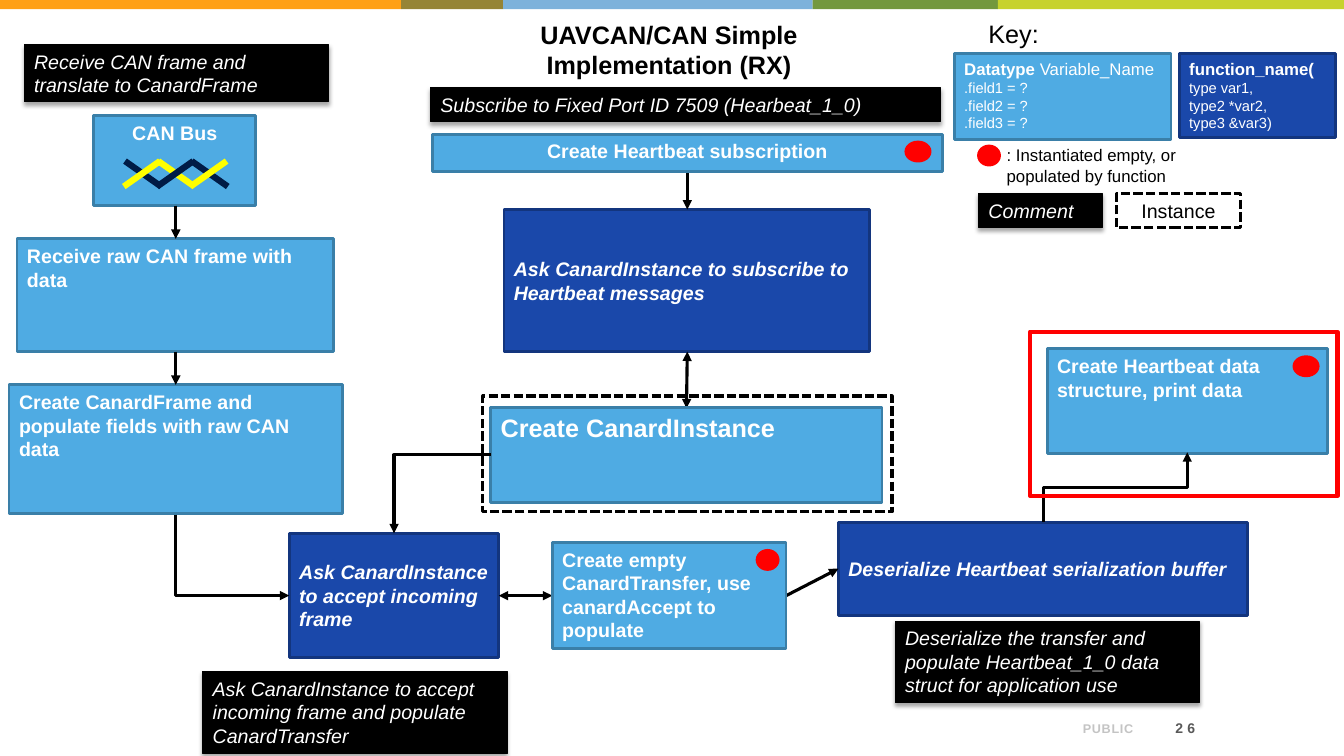
from math import cos, radians, sin

from lxml.etree import SubElement
from pptx import Presentation
from pptx.dml.color import RGBColor
from pptx.enum.dml import MSO_LINE as Dash
from pptx.enum.shapes import MSO_CONNECTOR as Link, MSO_SHAPE as Form
from pptx.enum.text import MSO_ANCHOR as Anchor, MSO_AUTO_SIZE as Fit, PP_ALIGN as Align
from pptx.oxml.ns import qn
from pptx.util import Cm, Pt

WHITE, BLACK, RED, NAVY, YELLOW = "FFFFFF", "000000", "FF0000", "001B46", "FFFF00"
LOOKS = {
    "data": {"fill": "4FABE3", "line": "3A7FA8", "width": 2, "bold": True},
    "call": {"fill": "1A48AA", "line": "13357E", "width": 2, "bold": True,
             "italic": True, "anchor": Anchor.MIDDLE},
    "note": {"fill": BLACK, "line": BLACK, "width": 0.75, "italic": True, "shade": True},
    "dash": {"line": BLACK, "width": 2.25, "dash": Dash.SQUARE_DOT, "ink": BLACK,
             "anchor": Anchor.MIDDLE, "align": Align.CENTER},
    "dot": {"fill": RED, "line": RED, "width": 2, "form": Form.OVAL},
    "frame": {"line": RED, "width": 3},
}


def tint(code):
    return RGBColor.from_string(code)


class Sheet:
    """Hold the style and the current slide, and draw each kind of element."""

    def __init__(self, deck, font):
        self.font = font
        self.slide = deck.slides.add_slide(deck.slide_layouts[5])
        self.shapes = self.slide.shapes

    def label(self, shape, paras, size=14, ink=WHITE, bold=False, italic=False,
              align=Align.LEFT, anchor=Anchor.TOP, gap=0, pad=(0.25, 0.13)):
        frame = shape.text_frame
        side, edge = map(Cm, pad)
        look = {"word_wrap": True, "auto_size": Fit.NONE, "vertical_anchor": anchor,
                "margin_left": side, "margin_right": side,
                "margin_top": edge, "margin_bottom": edge}
        for name, value in look.items():
            setattr(frame, name, value)
        for i, para in enumerate(paras):
            row = frame.add_paragraph() if i else frame.paragraphs[0]
            row.alignment = align
            for text, extra in [(para, {})] if isinstance(para, str) else para:
                run = row.add_run()
                run.text = text
                style = {"name": self.font, "size": Pt(size), "bold": bold, "italic": italic}
                for name, value in {**style, **extra}.items():
                    setattr(run.font, name, value)
                run.font.color.rgb = tint(ink)
                if gap:
                    run._r.get_or_add_rPr().set("spc", str(int(gap * 100)))

    def title(self, spot, text, **style):
        head = self.shapes.title
        head.left, head.top, head.width, head.height = map(Cm, spot)
        self.label(head, [text], **style)

    def text(self, spot, text, **style):
        self.label(self.shapes.add_textbox(*map(Cm, spot)), [text], **style)

    def box(self, spot, *paras, fill=None, line=None, width=1, dash=None,
            form=Form.RECTANGLE, shade=False, **style):
        shape = self.shapes.add_shape(form, *map(Cm, spot))
        shape.shadow.inherit = False
        if fill:
            shape.fill.solid()
            shape.fill.fore_color.rgb = tint(fill)
        else:
            shape.fill.background()
        if line:
            shape.line.color.rgb = tint(line)
            shape.line.width = Pt(width)
            if dash:
                shape.line.dash_style = dash
        else:
            shape.line.fill.background()
        if shade:
            glow = SubElement(shape._element.spPr.find(qn("a:effectLst")), qn("a:outerShdw"),
                              blurRad=str(Pt(3.1)), dist=str(Pt(1.8)), dir="5400000",
                              rotWithShape="0")
            ink = SubElement(glow, qn("a:srgbClr"), val=BLACK)
            SubElement(ink, qn("a:alpha"), val="35000")
        if paras:
            self.label(shape, paras, **style)

    def card(self, kind, spot, *paras, **extra):
        self.box(spot, *paras, **{**LOOKS[kind], **extra})

    def dot(self, left, top, width=0.61):
        self.card("dot", (left, top, width, 0.48))

    def link(self, start, end, tips=("tail",), ink=BLACK, width=2.25, turn=0, bend=None):
        midx, midy = (start[0] + end[0]) / 2, (start[1] + end[1]) / 2
        c, s = cos(radians(turn)), sin(radians(turn))
        spots = []
        for x, y in (start, end):
            dx, dy = x - midx, y - midy
            spots += [Cm(midx + dx * c + dy * s), Cm(midy + dy * c - dx * s)]
        line = self.shapes.add_connector(Link.ELBOW if bend else Link.STRAIGHT, *spots)
        line.line.color.rgb = tint(ink)
        line.line.width = Pt(width)
        props = line._element.spPr
        if bend:
            props.find(qn("a:xfrm")).set("rot", str(turn * 60000))
            props.find(qn("a:prstGeom")).set("prst", f"bentConnector{bend}")
        for tip in tips:
            SubElement(props.find(qn("a:ln")), qn(f"a:{tip}End"), type="triangle")
        SubElement(props, qn("a:effectLst"))


def main():
    deck = Presentation()
    deck.slide_width, deck.slide_height = Cm(33.87), Cm(19.05)
    sheet = Sheet(deck, "Arial")
    card, link, dot = sheet.card, sheet.link, sheet.dot
    both = ("head", "tail")

    sheet.title((11.68, 0.36, 10.36, 1.8), "UAVCAN/CAN Simple Implementation (RX)",
                size=18, ink=BLACK, bold=True, align=Align.CENTER)
    sheet.text((28.65, 17.96, 1.65, 0.76), "26", size=10, ink="595959", bold=True,
               gap=3, align=Align.RIGHT, anchor=Anchor.MIDDLE, pad=(0.18, 0.1))
    sheet.text((21.62, 17.83, 7.19, 0.86), "PUBLIC", size=9, ink="C4C4C4", bold=True,
               gap=0.5, align=Align.RIGHT, anchor=Anchor.BOTTOM)
    left = 0
    for width, fill in ((10.11, "FFA015"), (2.57, "958436"), (7.8, "7DB2DB"),
                        (4.67, "73983E"), (8.72, "C7D22D")):
        sheet.box((left, 0, width, 0.23), fill=fill)
        left += width

    card("data", (2.36, 2.92, 4.09, 2.26), "CAN Bus", align=Align.CENTER)
    for i in range(3):
        x = 3.15 + 0.84 * i
        down, up = (YELLOW, NAVY) if i % 2 else (NAVY, YELLOW)
        link((x, 4.06), (x + 0.91, 4.7), (), down, 4.5)
        link((x - 0.03, 4.7), (x + 0.88, 4.06), (), up, 4.5)

    card("call", (12.7, 5.28, 9.22, 3.58),
         "Ask CanardInstance to subscribe to Heartbeat messages")
    card("data", (0.43, 6.02, 7.98, 2.84), "Receive raw CAN frame with data")
    card("data", (0.23, 9.7, 8.41, 3.25),
         "Create CanardFrame and populate fields with raw CAN data")
    card("call", (7.29, 13.44, 5.28, 3.12), "Ask CanardInstance to accept incoming frame")
    card("call", (21.13, 13.16, 10.31, 2.36), "Deserialize Heartbeat serialization buffer")

    link((4.43, 5.18), (4.43, 6.02))
    link((4.43, 8.86), (4.43, 9.7))
    link((12.57, 15.01), (13.92, 15.01), both)
    link((19.81, 15.01), (21.13, 14.33))
    link((17.3, 10.29), (17.32, 8.86), both)
    link((17.32, 4.32), (17.32, 5.28))
    link((4.43, 12.97), (7.29, 15.01), turn=270, bend=2)

    card("data", (12.37, 10.27, 9.86, 2.39), "Create CanardInstance", size=18)
    card("dash", (12.17, 9.98, 10.31, 2.92))
    card("data", (13.92, 13.67, 5.89, 2.67),
         "Create empty CanardTransfer, use canardAccept to populate")
    dot(19.08, 13.87, 0.53)
    card("data", (26.39, 8.79, 7.06, 2.64), "Create Heartbeat data structure, print data")
    dot(32.61, 8.99)
    link((12.37, 11.46), (9.93, 13.44), turn=180, bend=2)
    link((26.29, 13.16), (29.92, 11.4), turn=90, bend=3)

    card("note", (10.85, 2.21, 12.85, 0.86),
         "Subscribe to Fixed Port ID 7509 (Hearbeat_1_0)")
    card("note", (0.61, 1.12, 7.67, 1.45), "Receive CAN frame and translate to CanardFrame")
    card("note", (5.11, 16.92, 7.67, 2.06),
         "Ask CanardInstance to accept incoming frame and populate CanardTransfer")
    card("note", (22.56, 15.65, 7.67, 2.06),
         "Deserialize the transfer and populate Heartbeat_1_0 data struct for application use")
    card("data", (10.9, 3.38, 12.85, 0.94), "Create Heartbeat subscription",
         align=Align.CENTER)
    dot(22.83, 3.58)

    sheet.text((24.66, 0.33, 6.02, 1.02), "Key:", size=18, ink=BLACK)
    card("data", (24.05, 1.35, 5.46, 2.16),
         [("Datatype", {"size": Pt(12), "bold": True}), (" Variable_Name", {"size": Pt(12)})],
         *[f".field{i} = ?" for i in (1, 2, 3)], size=10.5, bold=False)
    dot(24.66, 3.68, 0.53)
    sheet.text((25.12, 3.53, 6.43, 1.27),
               ": Instantiated empty, or populated by function", size=12, ink=BLACK)
    card("note", (24.66, 4.88, 3.12, 0.86), "Comment")
    card("dash", (28.14, 4.88, 3.12, 0.86), "Instance")
    card("call", (29.72, 1.35, 3.94, 2.11),
         [("function_name(", {"size": Pt(12), "bold": True})],
         "type var1,", "type2 *var2,", "type3 &var3)",
         size=10.5, bold=False, italic=False, anchor=Anchor.TOP)
    card("frame", (25.96, 8.36, 7.75, 4.14))
    deck.save("out.pptx")


if __name__ == "__main__":
    main()
